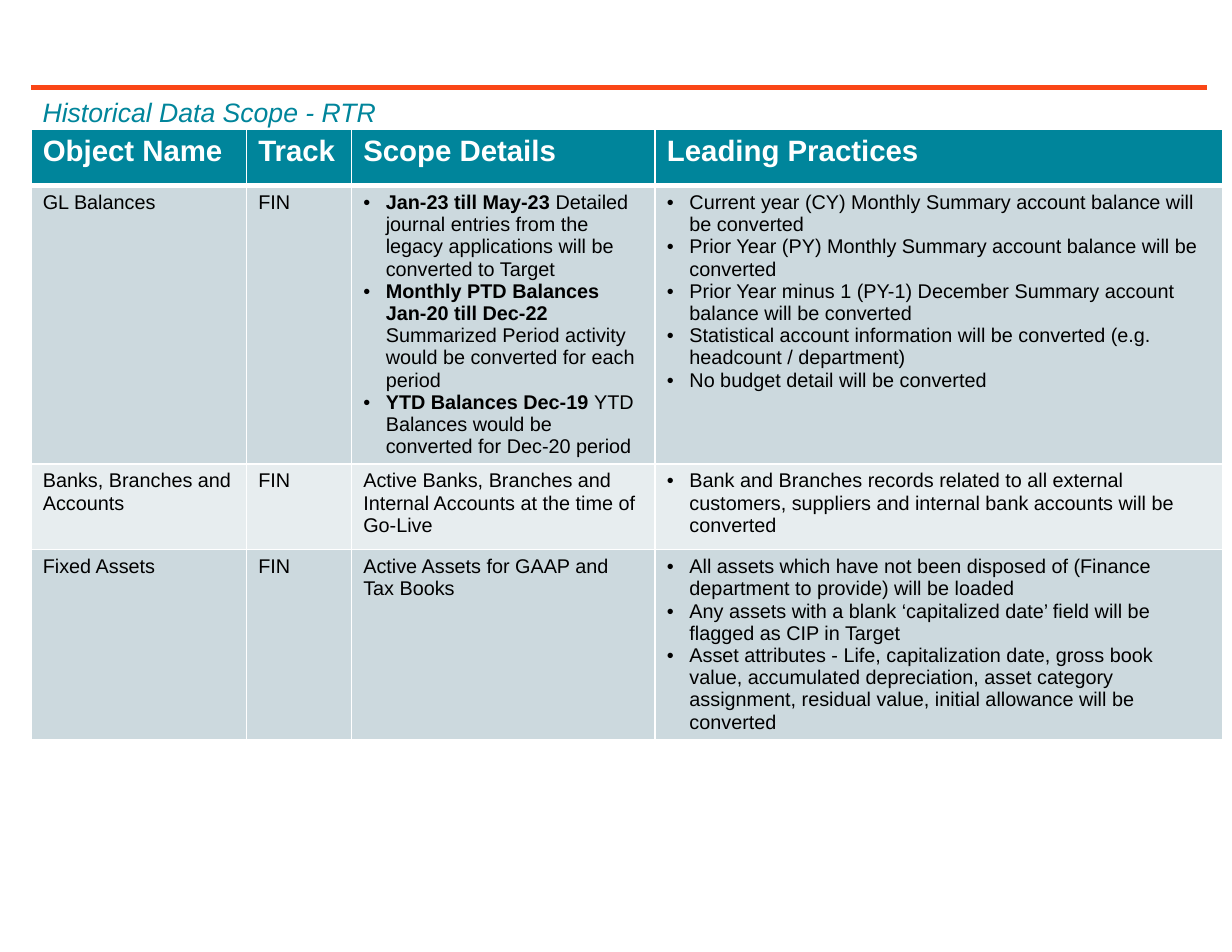
import pptx
import pptx.dml.color
import pptx.enum.shapes
import pptx.oxml
import pptx.oxml.ns
import pptx.util
from pptx.util import Cm

RGBColor = pptx.dml.color.RGBColor
TEAL = RGBColor(0x00, 0x85, 0x9B)
ORANGE = RGBColor(0xFA, 0x46, 0x16)
WHITE = RGBColor(0xFF, 0xFF, 0xFF)
BLACK = RGBColor(0x00, 0x00, 0x00)
BAND_DARK = RGBColor(0xCC, 0xD9, 0xDE)
BAND_LIGHT = RGBColor(0xE7, 0xED, 0xEF)

FONT = "Arial"
LEFT = Cm(0.66)
COLUMN_WIDTHS = [4.6, 2.24, 6.48, 12.12]
ROW_HEIGHTS = [1.21, 5.94, 1.83, 4.03]
HEADERS = ["Object Name", "Track", "Scope Details", "Leading Practices"]

# A plain string is a paragraph; a list holds bullets, each a (bold, regular) pair.
ROWS = [
    [
        "GL Balances",
        "FIN",
        [
            ("Jan-23 till May-23", " Detailed journal entries from the legacy "
             "applications will be converted to Target"),
            ("Monthly PTD Balances Jan-20 till Dec-22 ",
             "Summarized Period activity would be converted for each period"),
            ("YTD Balances Dec-19 ",
             "YTD Balances would be converted for Dec-20 period"),
        ],
        [
            ("", "Current year (CY) Monthly Summary account balance will be converted"),
            ("", "Prior Year (PY) Monthly Summary account balance will be converted"),
            ("", "Prior Year minus 1 (PY-1) December Summary account balance "
             "will be converted"),
            ("", "Statistical account information will be converted "
             "(e.g. headcount / department)"),
            ("", "No budget detail will be converted"),
        ],
    ],
    [
        "Banks, Branches and Accounts",
        "FIN",
        "Active Banks, Branches and Internal Accounts at the time of Go-Live",
        [
            ("", "Bank and Branches records related to all external customers, "
             "suppliers and internal bank accounts will be converted"),
        ],
    ],
    [
        "Fixed Assets",
        "FIN",
        "Active Assets for GAAP and Tax Books",
        [
            ("", "All assets which have not been disposed of "
             "(Finance department to provide) will be loaded"),
            ("", "Any assets with a blank ‘capitalized date’ field will be "
             "flagged as CIP in Target"),
            ("", "Asset attributes - Life, capitalization date, gross book value, "
             "accumulated depreciation, asset category assignment, residual value, "
             "initial allowance will be converted"),
        ],
    ],
]


def add_run(paragraph, text, size, color, bold=False, italic=False):
    run = paragraph.add_run()
    run.text = text
    run.font.name = FONT
    run.font.size = pptx.util.Pt(size)
    run.font.color.rgb = color
    run.font.bold = bold
    run.font.italic = italic


def add_bullet(paragraph):
    properties = paragraph._p.get_or_add_pPr()
    properties.set("marL", str(Cm(0.48)))
    properties.set("indent", str(-Cm(0.48)))
    namespace = pptx.oxml.ns.nsdecls("a")
    properties.append(pptx.oxml.parse_xml(f'<a:buFont {namespace} typeface="{FONT}"/>'))
    properties.append(pptx.oxml.parse_xml(f'<a:buChar {namespace} char="•"/>'))


def set_borders(cell, top=1, bottom=1):
    """Draw white borders; widths are in points."""
    properties = cell._tc.get_or_add_tcPr()
    widths = {"lnL": 1, "lnR": 1, "lnT": top, "lnB": bottom}
    for index, (tag, width) in enumerate(widths.items()):
        border = pptx.oxml.parse_xml(
            f'<a:{tag} {pptx.oxml.ns.nsdecls("a")} w="{pptx.util.Pt(width)}">'
            f'<a:solidFill><a:srgbClr val="{WHITE}"/></a:solidFill></a:{tag}>')
        properties.insert(index, border)


def set_fill(cell, color):
    cell.fill.solid()
    cell.fill.fore_color.rgb = color


def fill_body_cell(cell, content):
    frame = cell.text_frame
    if isinstance(content, str):
        add_run(frame.paragraphs[0], content, 12, BLACK)
        return
    for index, (bold_text, regular_text) in enumerate(content):
        paragraph = frame.add_paragraph() if index else frame.paragraphs[0]
        add_bullet(paragraph)
        if bold_text:
            add_run(paragraph, bold_text, 12, BLACK, bold=True)
        add_run(paragraph, regular_text, 12, BLACK)


def add_rule(slide):
    y = Cm(1.86)
    rule = slide.shapes.add_connector(
        pptx.enum.shapes.MSO_CONNECTOR.STRAIGHT, LEFT, y, Cm(25.76), y)
    rule.line.color.rgb = ORANGE
    rule.line.width = pptx.util.Pt(3)
    rule._element.spPr.append(pptx.oxml.parse_xml(
        f'<a:effectLst {pptx.oxml.ns.nsdecls("a")}/>'))


def add_scope_table(slide):
    table = slide.shapes.add_table(
        len(ROW_HEIGHTS), len(COLUMN_WIDTHS), LEFT, Cm(2.75),
        Cm(sum(COLUMN_WIDTHS)), Cm(sum(ROW_HEIGHTS))).table
    for column, width in zip(table.columns, COLUMN_WIDTHS):
        column.width = Cm(width)
    for row, height in zip(table.rows, ROW_HEIGHTS):
        row.height = Cm(height)

    for cell, header in zip(table.rows[0].cells, HEADERS):
        add_run(cell.text_frame.paragraphs[0], header, 17.8, WHITE, bold=True)
        set_fill(cell, TEAL)
        set_borders(cell, bottom=3)
    for index, contents in enumerate(ROWS):
        for cell, content in zip(table.rows[index + 1].cells, contents):
            fill_body_cell(cell, content)
            set_fill(cell, BAND_LIGHT if index % 2 else BAND_DARK)
            set_borders(cell, top=1 if index else 3)


def add_title(slide):
    box = slide.shapes.add_textbox(LEFT, Cm(1.78), Cm(25.1), Cm(1.12))
    box.text_frame.word_wrap = True
    paragraph = box.text_frame.paragraphs[0]
    paragraph.line_spacing = 1.2
    add_run(paragraph, "Historical Data Scope - RTR", 16.1, TEAL, italic=True)


def main():
    presentation = pptx.Presentation()
    presentation.slide_width = Cm(26.29)
    presentation.slide_height = Cm(20.32)
    slide = presentation.slides.add_slide(presentation.slide_layouts[6])
    add_rule(slide)
    add_scope_table(slide)
    add_title(slide)
    presentation.save("out.pptx")


if __name__ == "__main__":
    main()
